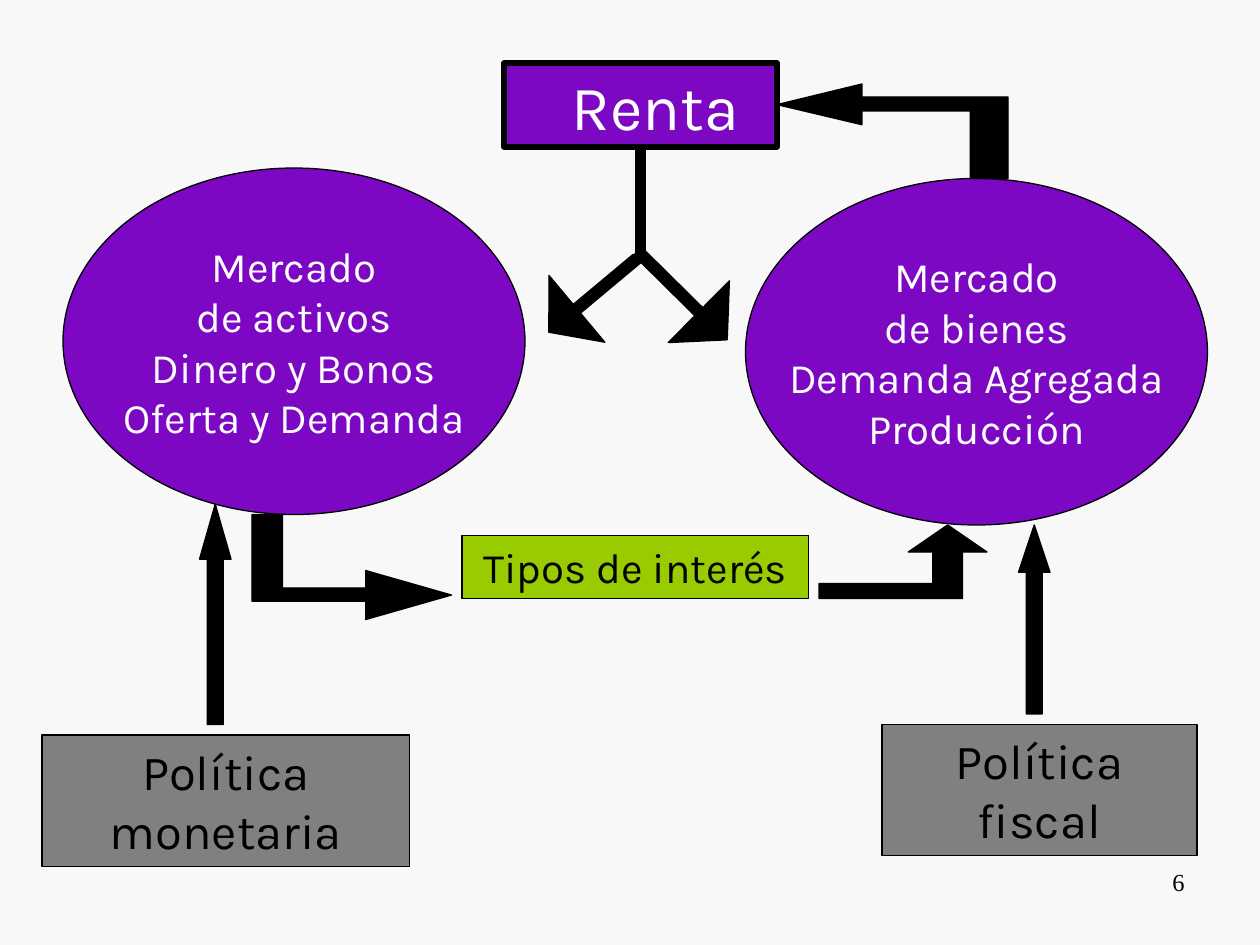
from lxml import etree
from pptx import Presentation
from pptx.dml.color import RGBColor
from pptx.enum.shapes import MSO_CONNECTOR as CONN, MSO_SHAPE as SHAPE
from pptx.enum.text import MSO_ANCHOR as ANCHOR, MSO_AUTO_SIZE as AUTO, PP_ALIGN as ALIGN
from pptx.oxml.ns import qn
from pptx.util import Pt

PAPER = RGBColor(0xF8, 0xF8, 0xF8)
PURPLE = RGBColor(0x7C, 0x08, 0xC4)
GREEN = RGBColor(0x99, 0xCC, 0x00)
GREY = RGBColor(0x80, 0x80, 0x80)
BLACK = RGBColor(0, 0, 0)
WHITE = RGBColor(0xFF, 0xFF, 0xFF)

RATE_TO_GOODS = [(541.5, 300), (519, 315.5), (533, 315.5), (533, 333.5), (468, 333.5),
                 (468, 342), (550, 342), (550, 315.5), (564, 315.5)]
GOODS_TO_INCOME = [(444, 59.8), (492.5, 71.3), (492.5, 63.4), (554.4, 63.4), (554.4, 102),
                   (576, 102), (576, 55.4), (492.5, 55.4), (492.5, 48)]
ASSETS_TO_RATE = [(258, 340), (209, 326), (209, 336), (161.5, 336), (161.5, 294),
                  (144, 294), (144, 343.5), (209, 343.5), (209, 354)]


def paint(sp, fill, weight=0.75):
    """Give a shape a solid fill and a black outline."""
    sp.shadow.inherit = False
    sp.fill.solid()
    sp.fill.fore_color.rgb = fill
    sp.line.color.rgb = BLACK
    sp.line.width = Pt(weight)


def write(tf, lines, size, color, align=ALIGN.CENTER, font="Karla"):
    """Write one paragraph per line in a text frame."""
    for i, line in enumerate(lines):
        p = tf.add_paragraph() if i else tf.paragraphs[0]
        p.alignment = align
        r = p.add_run()
        r.text = line
        r.font.name = font
        r.font.size = Pt(size)
        r.font.color.rgb = color


def add_title(s, text):
    """Turn the title placeholder into the framed income box."""
    sp = s.shapes.title
    sp.left, sp.top, sp.width, sp.height = Pt(288), Pt(36), Pt(156), Pt(48)
    paint(sp, PURPLE, 3)
    tf = sp.text_frame
    tf.auto_size = AUTO.NONE
    tf.vertical_anchor = ANCHOR.MIDDLE
    tf.margin_left = Pt(24)
    write(tf, [text], 36, WHITE)


def add_market(s, x, y, lines):
    """Add a market ellipse with centred lines."""
    sp = s.shapes.add_shape(SHAPE.OVAL, Pt(x), Pt(y), Pt(264), Pt(198))
    paint(sp, PURPLE)
    tf = sp.text_frame
    tf.word_wrap = False
    tf.vertical_anchor = ANCHOR.MIDDLE
    write(tf, lines, 24, WHITE)


def add_box(s, x, y, w, h, text, size, fill):
    """Add a labelled rectangle with text from the top."""
    sp = s.shapes.add_shape(SHAPE.RECTANGLE, Pt(x), Pt(y), Pt(w), Pt(h))
    paint(sp, fill)
    tf = sp.text_frame
    tf.word_wrap = True
    tf.vertical_anchor = ANCHOR.TOP
    write(tf, [text], size, BLACK)


def add_arrow(s, kind, x, y, w, h, shaft, head, angle=0):
    """Add a black block arrow, turned by an angle."""
    sp = s.shapes.add_shape(kind, Pt(x), Pt(y), Pt(w), Pt(h))
    sp.adjustments[0] = shaft
    sp.adjustments[1] = head
    sp.rotation = angle
    paint(sp, BLACK)


def add_bent_arrow(s, points):
    """Add a black bent arrow from its outline."""
    outline = [(Pt(x), Pt(y)) for x, y in points]
    builder = s.shapes.build_freeform(*outline[0])
    builder.add_line_segments(outline[1:], close=True)
    paint(builder.convert_to_shape(), BLACK)


def add_stem(s, x, top, bottom):
    """Add the thick vertical line below the income box."""
    c = s.shapes.add_connector(CONN.STRAIGHT, Pt(x), Pt(top), Pt(x), Pt(bottom))
    c.line.color.rgb = BLACK
    c.line.width = Pt(6)
    etree.SubElement(c._element.spPr, qn("a:effectLst"))


def add_page_number(s, text):
    """Add the page number at the lower right."""
    tf = s.shapes.add_textbox(Pt(516), Pt(492), Pt(168), Pt(37.4)).text_frame
    tf.word_wrap = True
    write(tf, [text], 14, BLACK, ALIGN.RIGHT, "Times New Roman")


def main():
    """Build the slide and save it."""
    prs = Presentation()
    prs.slide_width, prs.slide_height = Pt(720), Pt(540)
    s = prs.slides.add_slide(prs.slide_layouts[5])
    s.background.fill.solid()
    s.background.fill.fore_color.rgb = PAPER

    add_market(s, 36, 96, ["Mercado", "de activos", "Dinero y Bonos", "Oferta y Demanda"])
    add_title(s, "Renta")
    add_box(s, 24, 420, 210, 75, "Política monetaria", 28, GREY)
    add_box(s, 504, 414, 180, 75, "Política fiscal", 28, GREY)
    add_box(s, 264, 306, 198, 36, "Tipos de interés", 24, GREEN)
    add_market(s, 426, 102, ["Mercado", "de bienes", "Demanda Agregada", "Producción"])

    add_arrow(s, SHAPE.UP_ARROW, 114, 288, 18, 126, 0.5, 1.75)
    add_arrow(s, SHAPE.UP_ARROW, 582, 300, 18, 108, 0.5, 1.5)
    for points in (RATE_TO_GOODS, GOODS_TO_INCOME, ASSETS_TO_RATE):
        add_bent_arrow(s, points)
    add_stem(s, 366, 84, 150)
    add_arrow(s, SHAPE.LEFT_ARROW, 306, 144, 65.5, 49.7, 0.13, 0.42, 320.1)
    add_arrow(s, SHAPE.LEFT_ARROW, 354, 144, 72, 49.7, 0.13, 0.46, 224.7)
    add_page_number(s, "6")
    prs.save("out.pptx")


if __name__ == "__main__":
    main()
